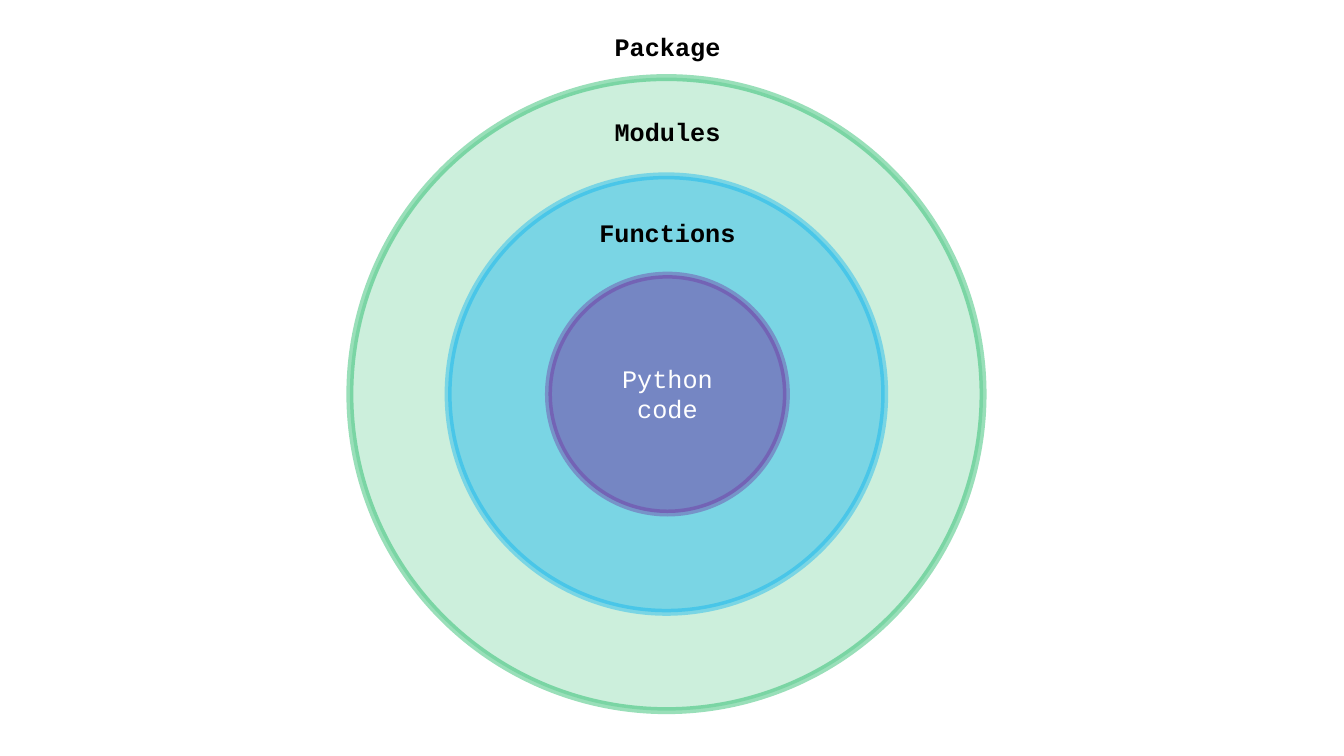
from dataclasses import dataclass

from lxml import etree
from pptx import Presentation
from pptx import util as u
from pptx.dml.color import RGBColor
from pptx.enum import shapes, text
from pptx.oxml import ns


@dataclass(frozen=True)
class Theme:
    font: str = "Courier New"
    label_size: int = 18
    ring_line: int = 5
    line_opacity: int = 40
    dark: str = "000000"
    light: str = "FFFFFF"
    green: str = "00B050"
    blue: str = "00B0F0"
    purple: str = "7030A0"


class NestedDiagram:
    """Concentric rings with centred labels on one slide."""

    def __init__(self, slide, theme):
        self.slide = slide
        self.theme = theme

    def set_opacity(self, format_element, percent):
        color = format_element.find(".//" + ns.qn("a:srgbClr"))
        etree.SubElement(color, ns.qn("a:alpha"), val=str(percent * 1000))

    def ring(self, center_x, center_y, diameter, color, opacity):
        shape = self.slide.shapes.add_shape(
            shapes.MSO_SHAPE.OVAL,
            u.Inches(center_x - diameter / 2), u.Inches(center_y - diameter / 2),
            u.Inches(diameter), u.Inches(diameter))
        shape.shadow.inherit = False
        shape.fill.solid()
        shape.fill.fore_color.rgb = RGBColor.from_string(color)
        shape.line.color.rgb = RGBColor.from_string(color)
        shape.line.width = u.Pt(self.theme.ring_line)

        properties = shape.element.spPr
        self.set_opacity(properties.find(ns.qn("a:solidFill")), opacity)
        self.set_opacity(properties.find(ns.qn("a:ln")), self.theme.line_opacity)

    def label(self, center_x, top, width, height, words, color, bold=False):
        box = self.slide.shapes.add_textbox(
            u.Inches(center_x - width / 2), u.Inches(top),
            u.Inches(width), u.Inches(height))
        frame = box.text_frame
        frame.word_wrap = False
        frame.auto_size = text.MSO_AUTO_SIZE.SHAPE_TO_FIT_TEXT
        frame.text = words
        for paragraph in frame.paragraphs:
            paragraph.alignment = text.PP_ALIGN.CENTER
            for run in paragraph.runs:
                run.font.name = self.theme.font
                run.font.size = u.Pt(self.theme.label_size)
                run.font.bold = bold
                run.font.color.rgb = RGBColor.from_string(color)


def main():
    presentation = Presentation()
    presentation.slide_width = u.Inches(13.33)
    presentation.slide_height = u.Inches(7.5)
    blank_layout = presentation.slide_layouts[6]
    theme = Theme()
    diagram = NestedDiagram(presentation.slides.add_slide(blank_layout), theme)

    # Rings, from the outermost inwards
    center_y = 3.91
    for center_x, diameter, color, opacity in (
        (6.61, 6.28, theme.green, 20),
        (6.61, 4.33, theme.blue, 40),
        (6.62, 2.36, theme.purple, 48),
    ):
        diagram.ring(center_x, center_y, diameter, color, opacity)

    # Label of the core
    label_x = 6.62
    diagram.label(label_x, 3.55, 1.11, 0.71, "Python\ncode", theme.light)

    # Level headings, from the inside outwards
    for words, top, width in (
        ("Functions", 2.11, 1.56),
        ("Modules", 1.1, 1.26),
        ("Package", 0.26, 1.26),
    ):
        diagram.label(label_x, top, width, 0.4, words, theme.dark, bold=True)

    presentation.save("out.pptx")


if __name__ == "__main__":
    main()
